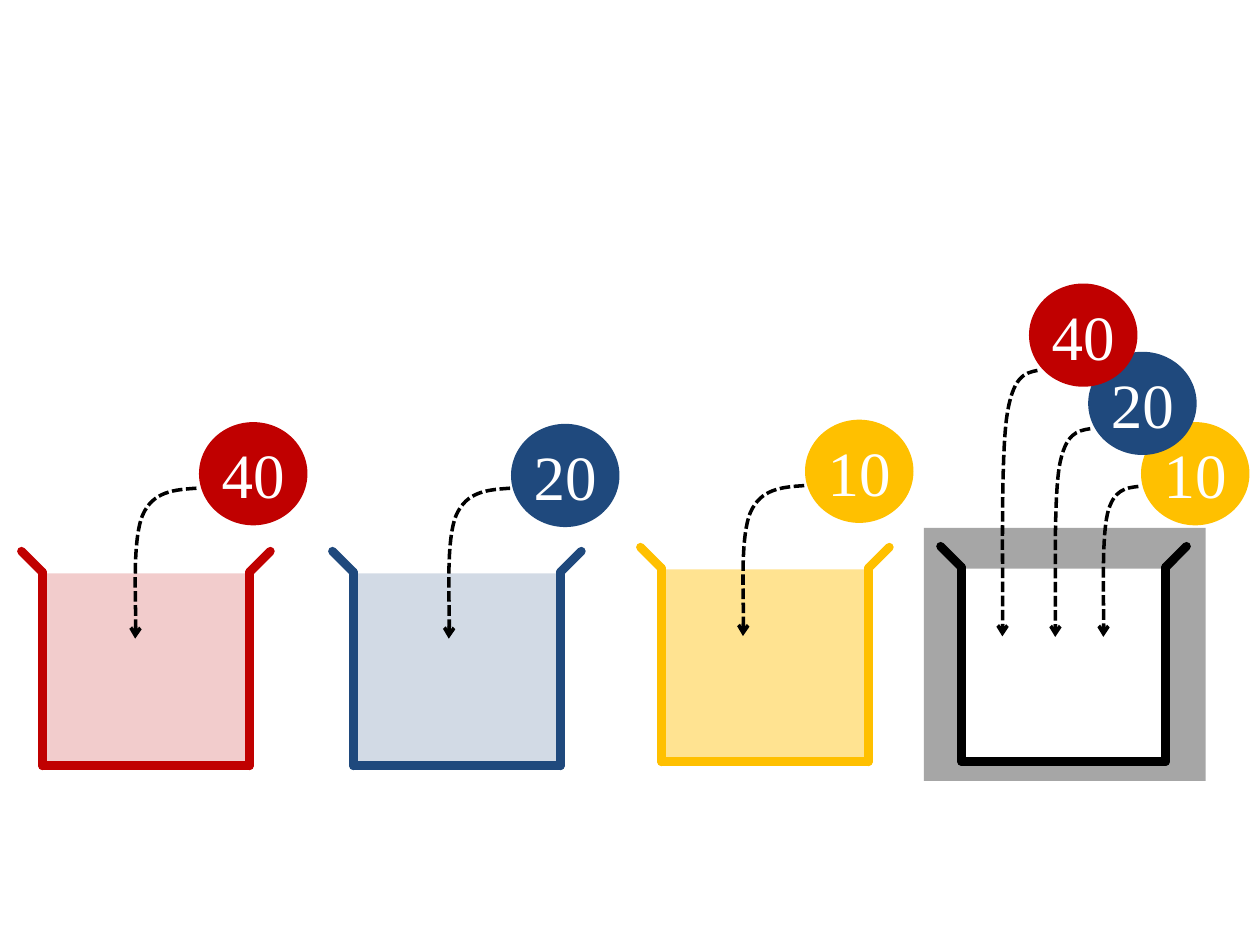
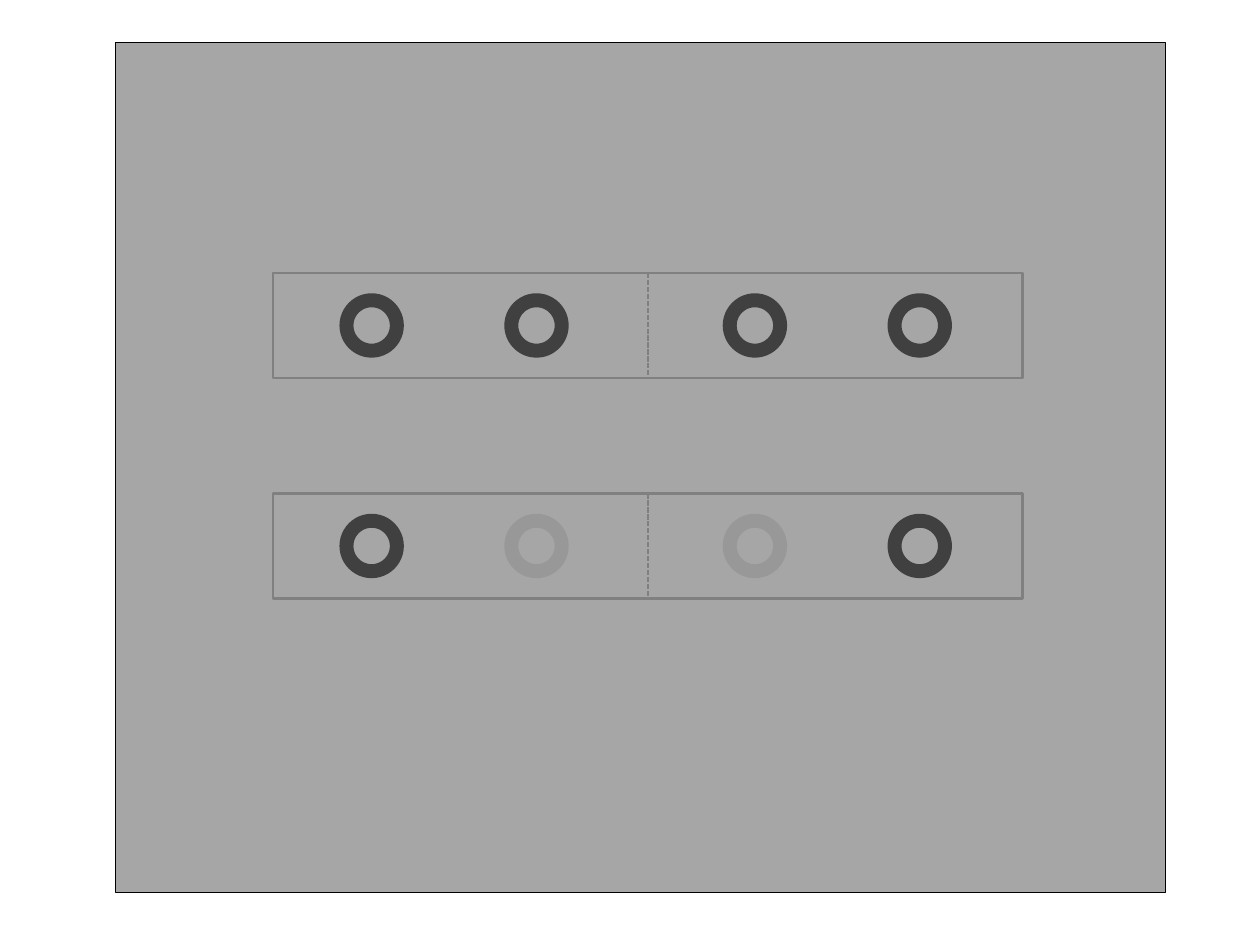
from collections import namedtuple
from dataclasses import dataclass

from lxml import etree
from pptx import Presentation
from pptx.dml.color import RGBColor
from pptx.enum.dml import MSO_LINE
from pptx.enum.shapes import MSO_CONNECTOR, MSO_SHAPE
from pptx.enum.text import MSO_ANCHOR, PP_ALIGN
from pptx.oxml.ns import qn
from pptx.util import Pt

RECTANGLE, OVAL = MSO_SHAPE.RECTANGLE, MSO_SHAPE.OVAL
STRAIGHT = MSO_CONNECTOR.STRAIGHT
DASHED = MSO_LINE.SQUARE_DOT
CENTER, MIDDLE = PP_ALIGN.CENTER, MSO_ANCHOR.MIDDLE
TOP_SIDE, BOTTOM_SIDE = 0, 2
BLANK_LAYOUT = 6

Box = namedtuple("Box", "left top width height")


@dataclass(frozen=True)
class Theme:
    red: str = "C00000"
    blue: str = "1F497D"
    yellow: str = "FFC000"
    black: str = "000000"
    white: str = "FFFFFF"
    gray: str = "A6A6A6"
    frame: str = "808080"
    ring: str = "404040"
    font: str = "Times New Roman"
    number_size: float = 36
    wall_width: float = 5
    arrow_width: float = 2
    ring_width: float = 8
    frame_width: float = 1.5
    divider_width: float = 1
    panel_width: float = 0.25


THEME = Theme()
BALL_WIDTH, BALL_HEIGHT = 62, 59
FLAP = 12
RING_SIZE = 28.8

# Fractions of the arrow's box: start, then two Bezier segments
ARROW_CURVE = [(1, 0), (0.64, 0.01), (0.29, 0.02), (0.12, 0.18),
               (-0.05, 0.35), (0.03, 0.86), (0, 1)]


# Shared drawing helpers
def set_alpha(properties, percent):
    """Make the first colour inside the given XML element translucent."""
    color = next(properties.iter(qn("a:srgbClr")))
    etree.SubElement(color, qn("a:alpha")).set("val", str(percent * 1000))


def style_line(item, color, width, dash=None):
    item.line.color.rgb = RGBColor.from_string(color)
    item.line.width = Pt(width)
    if dash:
        item.line.dash_style = dash


def line_xml(item):
    return item._element.spPr.find(qn("a:ln"))


def add_filled(shapes, kind, box, color, alpha=None):
    shape = shapes.add_shape(kind, *map(Pt, box))
    shape.shadow.inherit = False
    shape.fill.solid()
    shape.fill.fore_color.rgb = RGBColor.from_string(color)
    shape.line.fill.background()
    if alpha:
        set_alpha(shape._element.spPr, alpha)
    return shape


def add_line(shapes, start, end, color, width, dash=None):
    line = shapes.add_connector(STRAIGHT, *map(Pt, start + end))
    style_line(line, color, width, dash)
    etree.SubElement(line._element.spPr, qn("a:effectLst"))
    return line


# Buckets, balls and arrows
def add_bucket(shapes, box, color, fill, alpha=None):
    left, top, width, height = box
    right, bottom = left + width, top + height
    add_filled(shapes, RECTANGLE, Box(left + 0.7, top + 0.7, width, height - 0.7),
               fill, alpha)
    walls = [((right, top), (right + FLAP, top - FLAP)),
             ((right, top), (right, bottom)),
             ((left, top), (left, bottom)),
             ((left, bottom), (right, bottom)),
             ((left - FLAP, top - FLAP), (left, top))]
    for start, end in walls:
        wall = add_line(shapes, start, end, color, THEME.wall_width)
        line_xml(wall).set("cap", "rnd")


def add_ball(shapes, left, top, color, number):
    ball = add_filled(shapes, OVAL, Box(left, top, BALL_WIDTH, BALL_HEIGHT), color)
    frame = ball.text_frame
    frame.margin_left = frame.margin_right = Pt(3)
    frame.margin_top = frame.margin_bottom = Pt(3)
    frame.vertical_anchor = MIDDLE
    para = frame.paragraphs[0]
    para.text = number
    para.alignment = CENTER
    para.font.name = THEME.font
    para.font.size = Pt(THEME.number_size)
    para.font.color.rgb = RGBColor.from_string(THEME.white)


def add_drop_arrow(shapes, box):
    points = [(Pt(box.left + x * box.width), Pt(box.top + y * box.height))
              for x, y in ARROW_CURVE]
    builder = shapes.build_freeform(*points[0])
    builder.add_line_segments(points[1:], close=False)
    arrow = builder.convert_to_shape()
    arrow.shadow.inherit = False
    arrow.fill.background()
    style_line(arrow, THEME.black, THEME.arrow_width, DASHED)
    etree.SubElement(line_xml(arrow), qn("a:tailEnd")).set("type", "arrow")

    # Turn each three straight segments into one Bezier segment
    outline = next(arrow._element.iter(qn("a:path")))
    segments = outline.findall(qn("a:lnTo"))
    for first in range(0, len(segments), 3):
        curve = etree.SubElement(outline, qn("a:cubicBezTo"))
        for segment in segments[first:first + 3]:
            curve.append(segment[0])
            outline.remove(segment)


def build_buckets_slide(page):
    shapes = page.shapes.add_group_shape().shapes

    # Mixed bucket on its gray panel
    add_filled(shapes, RECTANGLE, Box(528, 301.7, 161, 144.5), THEME.gray)
    add_bucket(shapes, Box(549.5, 324.2, 116.5, 111), THEME.black, THEME.white)

    # One bucket for each colour
    for left, top, color, alpha in [(24.3, 327, THEME.red, 20),
                                    (202, 327, THEME.blue, 20),
                                    (378, 324.7, THEME.yellow, 43)]:
        add_bucket(shapes, Box(left, top, 118.2, 110.6), color, color, alpha)

    # Balls: the stack first, then the single ones
    for left, top, color, number in [(652, 241.2, THEME.yellow, "10"),
                                     (621.8, 201, THEME.blue, "20"),
                                     (588, 162, THEME.red, "40"),
                                     (460, 239.8, THEME.yellow, "10"),
                                     (292, 242.2, THEME.blue, "20"),
                                     (113.7, 241.2, THEME.red, "40")]:
        add_ball(shapes, left, top, color, number)

    # Arrows into the buckets
    for box in [Box(77.3, 279, 35, 86), Box(256.5, 279, 35, 86),
                Box(424.6, 277.5, 35, 86), Box(630.5, 278, 20, 86),
                Box(603, 245, 20, 119), Box(572.8, 211.7, 20, 152)]:
        add_drop_arrow(shapes, box)


# Strips of rings
def add_ring_strip(page, box, faded):
    shapes = page.shapes.add_group_shape().shapes
    strip = add_filled(shapes, RECTANGLE, box, THEME.gray)
    style_line(strip, THEME.frame, THEME.frame_width)
    middle = box.left + box.width / 2
    divider = add_line(shapes, (middle, box.top), (middle, box.top + box.height),
                       THEME.frame, THEME.divider_width, DASHED)
    divider.begin_connect(strip, TOP_SIDE)
    divider.end_connect(strip, BOTTOM_SIDE)

    ring_top = box.top + (box.height - RING_SIZE) / 2
    for index, offset in enumerate([42, 136.2, 261, 355.2]):
        ring = add_filled(shapes, OVAL, Box(box.left + offset, ring_top,
                                            RING_SIZE, RING_SIZE), THEME.gray)
        is_faded = index in faded
        style_line(ring, THEME.frame if is_faded else THEME.ring, THEME.ring_width)
        if is_faded:
            set_alpha(line_xml(ring), 35)


def build_rings_slide(page):
    panel = add_filled(page.shapes, RECTANGLE, Box(66, 24, 600, 486), THEME.gray)
    style_line(panel, THEME.black, THEME.panel_width)
    for top, faded in [(156, ()), (282, (1, 2))]:
        add_ring_strip(page, Box(156, top, 428.4, 60), faded)


def main():
    deck = Presentation()
    deck.slide_width, deck.slide_height = Pt(720), Pt(540)
    for build in (build_buckets_slide, build_rings_slide):
        build(deck.slides.add_slide(deck.slide_layouts[BLANK_LAYOUT]))
    deck.save("out.pptx")


if __name__ == "__main__":
    main()
